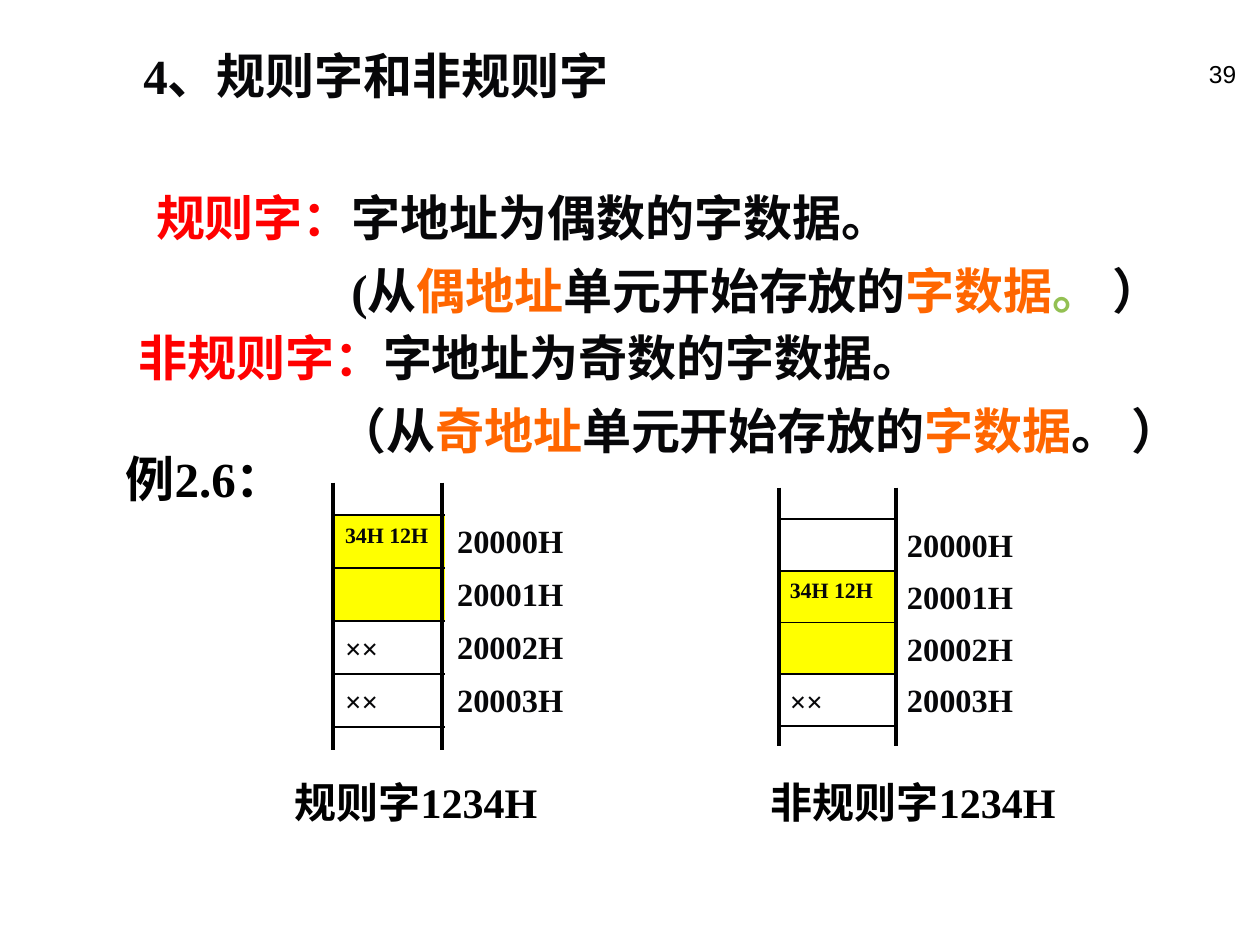
"""Build the slide on regular and irregular words, with two memory diagrams."""
from dataclasses import dataclass
from lxml import etree
from pptx import Presentation
from pptx import util as u
from pptx.dml import color
from pptx.enum import shapes, text
from pptx.oxml import ns


@dataclass(frozen=True)
class Theme:
    ink: str = "070709"
    black: str = "000000"
    red: str = "FF0000"
    orange: str = "FF6600"
    green: str = "93C052"
    yellow: str = "FFFF00"
    serif: str = "Times New Roman"
    sans: str = "Arial"
    chinese: str = "Noto Sans CJK SC"
    body: float = 28
    caption: float = 24
    address: float = 18.5
    unknown: float = 16.6
    number: float = 14
    value: float = 12.5
    thin: float = 1
    thick: float = 2.25


theme = Theme()
deck = Presentation()
deck.slide_width, deck.slide_height = u.Inches(10), u.Inches(7.5)
page = deck.slides.add_slide(deck.slide_layouts[6])


def add_text(spans, left, top, width, height, size=theme.body, font=theme.serif, bold=True,
             align=text.PP_ALIGN.LEFT, spacing=1.0, wrap=True, grow=False, fill=None):
    place = [u.Inches(value) for value in (left, top, width, height)]
    if fill:
        box = page.shapes.add_shape(shapes.MSO_SHAPE.RECTANGLE, *place)
        box.shadow.inherit = False
        box.fill.solid()
        box.fill.fore_color.rgb = color.RGBColor.from_string(fill)
        box.line.fill.background()
    else:
        box = page.shapes.add_textbox(*place)
    frame = box.text_frame
    frame.word_wrap = wrap
    frame.auto_size = text.MSO_AUTO_SIZE.SHAPE_TO_FIT_TEXT if grow else text.MSO_AUTO_SIZE.NONE
    frame.vertical_anchor = text.MSO_ANCHOR.TOP
    para = frame.paragraphs[0]
    para.alignment = align
    para.line_spacing = spacing
    for words, tint in spans:
        span = para.add_run()
        span.text = words
        span.font.size = u.Pt(size)
        span.font.bold = bold
        span.font.color.rgb = color.RGBColor.from_string(tint)
        span.font.name = font
        etree.SubElement(span.font._element, ns.qn("a:ea"), typeface=theme.chinese)


def add_line(left, top, right, bottom, weight):
    line = page.shapes.add_connector(
        shapes.MSO_CONNECTOR.STRAIGHT, *[u.Inches(value) for value in (left, top, right, bottom)])
    line.line.color.rgb = color.RGBColor.from_string(theme.black)
    line.line.width = u.Pt(weight)
    etree.SubElement(line._element.spPr, ns.qn("a:effectLst"))


add_text([("4、规则字和非规则字", theme.ink)], 1.04, 0.31, 3.98, 0.57, wrap=False, grow=True)
add_text([("规则字：", theme.red), ("字地址为偶数的字数据。", theme.ink)],
         1.14, 1.39, 8.11, 0.62, spacing=1.1, grow=True)
add_text([("非规则字：", theme.red), ("字地址为奇数的字数据。", theme.ink)],
         1, 2.55, 6.41, 0.57, wrap=False, grow=True)

explanations = [
    ("(从", "偶地址", [("。 ", theme.green), ("）", theme.ink)], 2.69, 2.02, 6.85),
    ("（从", "奇地址", [("。 ）", theme.ink)], 2.58, 3.13, 6.95),
]
for opening, parity, ending, left, top, width in explanations:
    add_text([(opening, theme.ink), (parity, theme.orange), ("单元开始存放的", theme.ink),
              ("字数据", theme.orange), *ending], left, top, width, 0.57, grow=True)

addresses = ["20000H", "20001H", "20002H", "20003H"]
memories = [
    (2.64, 4.09, 0.89, 0.42, 1.31, ["34H 12H", "", "××", "××"], (2.64, 3.51), 3.83, 5.95),
    (6.17, 4.12, 0.93, 0.41, 1.36, [None, "34H 12H", "", "××"], (6.18, 7.11), 3.87, 5.92),
]
for left, top, width, row, label_width, cells, rails, rail_top, rail_bottom in memories:
    for index, (address, cell) in enumerate(zip(addresses, cells)):
        cell_top = top + index * row
        add_text([(address, theme.ink)], left + width, cell_top, label_width, row, size=theme.address)
        if cell == "××":
            add_text([(cell, theme.ink)], left, cell_top, width, row, size=theme.unknown, spacing=1.1)
        elif cell is not None:
            spans = [(cell, theme.ink)] if cell else []
            add_text(spans, left, cell_top, width, row, size=theme.value, fill=theme.yellow)
    for index in range(len(cells) + 1):
        add_line(left, top + index * row, left + width, top + index * row, theme.thin)
    for rail in rails:
        add_line(rail, rail_top, rail, rail_bottom, theme.thick)

for caption, left, width in [("规则字1234H", 2.24, 2.68), ("非规则字1234H", 6.02, 3.15)]:
    add_text([(caption, theme.black)], left, 6.11, width, 0.5, size=theme.caption, grow=True)
add_text([("例2.6：", theme.black)], 0.9, 3.51, 1.65, 0.57, wrap=False, grow=True)
add_text([("39", theme.black)], 7.83, 0.42, 2.08, 0.5, size=theme.number, font=theme.sans,
         bold=False, align=text.PP_ALIGN.RIGHT)

deck.save("out.pptx")
